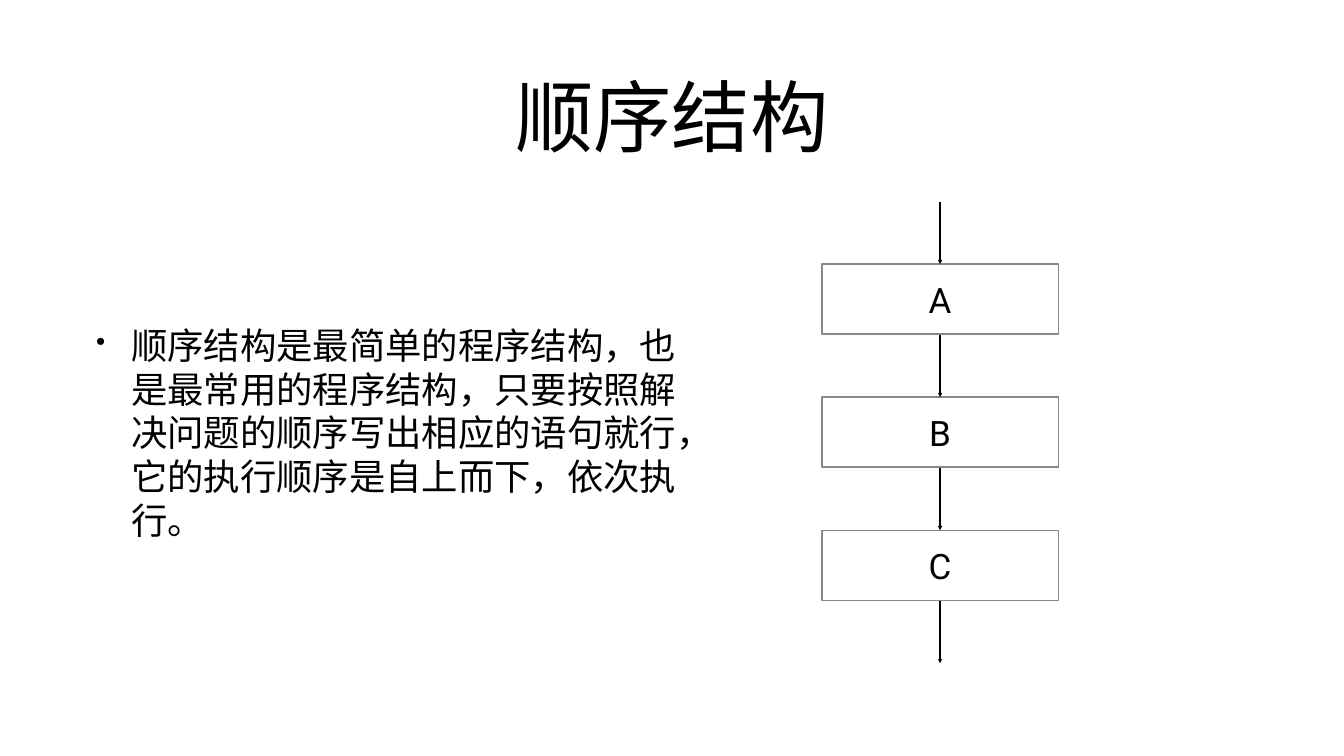
from lxml import etree
from pptx import Presentation
from pptx import util as u
from pptx.dml import color
from pptx.enum import shapes, text
from pptx.oxml import ns

WIDTH, HEIGHT = 26.67, 15
MARGIN = 1.85
FONT = "Roboto"
BLACK, GREY = "000000", "85888D"
STEPS = ("A", "B", "C")
STEP_LEFT, STEP_WIDTH, STEP_HEIGHT = 16.31, 4.69, 1.39
FLOW_TOP, ARROW_LENGTH, PITCH = 4, 1.24, 2.64


def rgb(value):
    return color.RGBColor.from_string(value)


def add_element(parent, tag, **attributes):
    return etree.SubElement(parent, ns.qn(tag), attributes)


def write_text(shape, content, size, align=text.PP_ALIGN.CENTER, bullet=False):
    frame = shape.text_frame
    frame.word_wrap = True
    frame.auto_size = text.MSO_AUTO_SIZE.NONE
    frame.vertical_anchor = text.MSO_ANCHOR.MIDDLE
    frame.margin_left = frame.margin_right = u.Inches(0.06)
    frame.margin_top = frame.margin_bottom = u.Inches(0.06)
    para = frame.paragraphs[0]
    para.alignment = align
    if bullet:
        settings = para._p.get_or_add_pPr()
        indent = u.Inches(0.69)
        settings.set("marL", str(indent))
        settings.set("indent", str(-indent))
        add_element(settings, "a:buSzPct", val="75000")
        add_element(settings, "a:buChar", char="•")
    span = para.add_run()
    span.text = content
    span.font.size = u.Pt(size)
    span.font.name = FONT
    span.font.color.rgb = rgb(BLACK)
    add_element(span._r.get_or_add_rPr(), "a:ea", typeface=FONT)


def add_title(page, content):
    title = page.shapes.title
    title.left, title.top = u.Inches(MARGIN), u.Inches(1.04)
    title.width, title.height = u.Inches(WIDTH - 2 * MARGIN), u.Inches(2.5)
    write_text(title, content, 112)


def add_body(page, content):
    box = page.shapes.add_textbox(
        u.Inches(MARGIN), u.Inches(3.54), u.Inches(12.13), u.Inches(10.07)
    )
    write_text(box, content, 52, align=text.PP_ALIGN.LEFT, bullet=True)


def add_step(page, label, top):
    step = page.shapes.add_shape(
        shapes.MSO_SHAPE.RECTANGLE,
        u.Inches(STEP_LEFT), u.Inches(top), u.Inches(STEP_WIDTH), u.Inches(STEP_HEIGHT),
    )
    step.shadow.inherit = False
    step.fill.background()
    step.line.color.rgb = rgb(GREY)
    step.line.width = u.Pt(2)
    write_text(step, label, 50)


def add_arrow(page, top):
    center = u.Inches(STEP_LEFT + STEP_WIDTH / 2)
    arrow = page.shapes.add_connector(
        shapes.MSO_CONNECTOR.STRAIGHT,
        center, u.Inches(top), center, u.Inches(top + ARROW_LENGTH),
    )
    arrow.line.color.rgb = rgb(BLACK)
    arrow.line.width = u.Pt(2)
    add_element(arrow.line._get_or_add_ln(), "a:tailEnd", type="triangle")
    add_element(arrow._element.spPr, "a:effectLst")


def add_flow(page):
    for row, label in enumerate(STEPS):
        add_step(page, label, FLOW_TOP + ARROW_LENGTH + row * PITCH)
    for row in range(len(STEPS) + 1):
        add_arrow(page, FLOW_TOP + row * PITCH)


def main():
    deck = Presentation()
    deck.slide_width, deck.slide_height = u.Inches(WIDTH), u.Inches(HEIGHT)
    page = deck.slides.add_slide(deck.slide_layouts[5])
    add_title(page, "顺序结构")
    add_body(
        page,
        "顺序结构是最简单的程序结构，也是最常用的程序结构，只要按照解决问题的顺序写出相应的语句就行，"
        "它的执行顺序是自上而下，依次执行。",
    )
    add_flow(page)
    deck.save("out.pptx")


if __name__ == "__main__":
    main()
